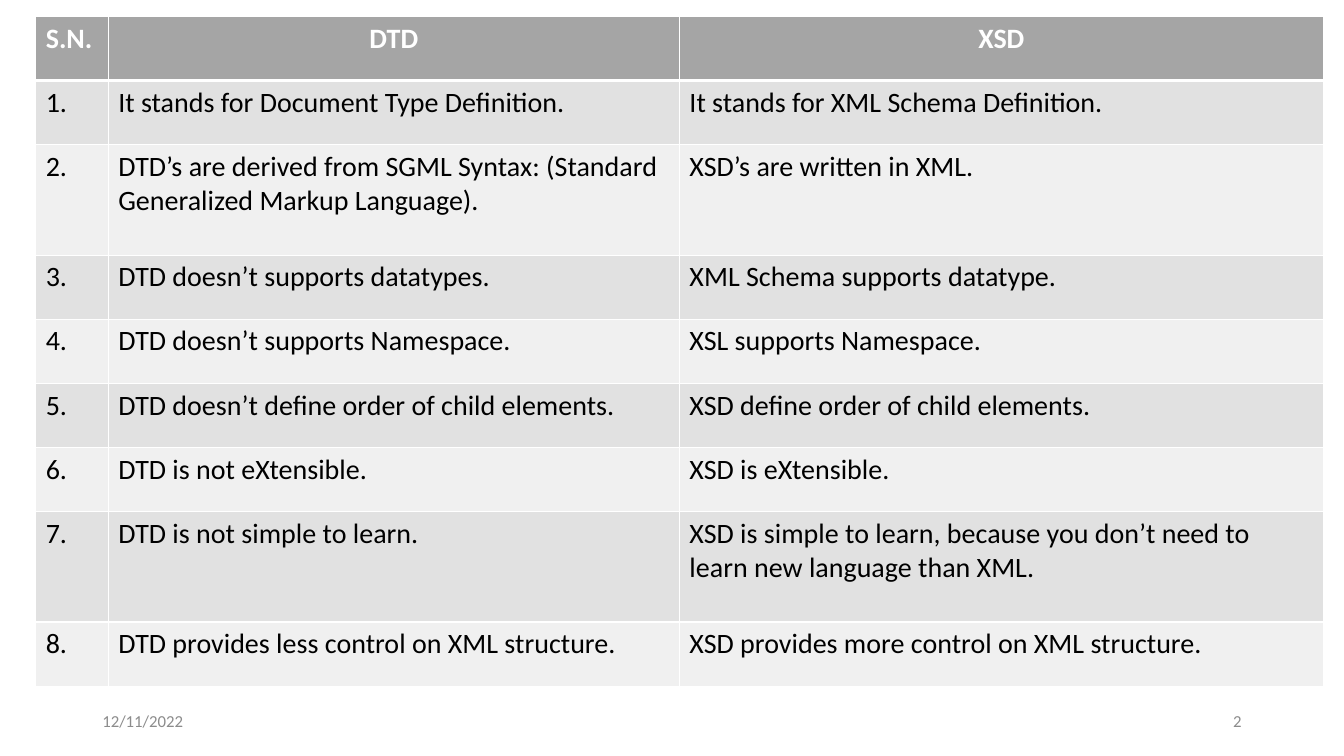
"""Build a slide with a table comparing DTD and XSD."""
from lxml import etree
from pptx import Presentation
from pptx.dml.color import RGBColor
from pptx.enum.text import MSO_ANCHOR, PP_ALIGN
from pptx.oxml.ns import qn
from pptx.util import Pt

LEFT, CENTER, RIGHT = PP_ALIGN.LEFT, PP_ALIGN.CENTER, PP_ALIGN.RIGHT
MIDDLE = MSO_ANCHOR.MIDDLE
WHITE = RGBColor(0xFF, 0xFF, 0xFF)
BLACK = RGBColor(0, 0, 0)
HEADER_GRAY = RGBColor(0xA5, 0xA5, 0xA5)
BANDS = (RGBColor(0xF0, 0xF0, 0xF0), RGBColor(0xE1, 0xE1, 0xE1))
FOOTER_GRAY = RGBColor(0x8C, 0x8C, 0x8C)
FONT = "Calibri"

HEADINGS = ("S.N.", "DTD", "XSD")
COMPARISONS = [
    ("It stands for Document Type Definition.", "It stands for XML Schema Definition."),
    ("DTD’s are derived from SGML Syntax: (Standard Generalized Markup Language).",
     "XSD’s are written in XML."),
    ("DTD doesn’t supports datatypes.", "XML Schema supports datatype."),
    ("DTD doesn’t supports Namespace.", "XSL supports Namespace."),
    ("DTD doesn’t define order of child elements.", "XSD define order of child elements."),
    ("DTD is not eXtensible.", "XSD is eXtensible."),
    ("DTD is not simple to learn.",
     "XSD is simple to learn, because you don’t need to learn new language than XML."),
    ("DTD provides less control on XML structure.",
     "XSD provides more control on XML structure."),
]
FOOTERS = [("12/11/2022", 66, LEFT), ("2", 678, RIGHT)]

TABLE_LEFT, TABLE_TOP = 25.5, 11.7
COLUMN_WIDTHS = (51.8, 408, 460)
ROW_HEIGHT, TALL_ROW_HEIGHT = 45.8, 79
TALL_ROWS = (2, 7)
FOOTER_TOP, FOOTER_WIDTH, FOOTER_HEIGHT = 500.5, 216, 28.8


def write(frame, text, size, color, align=LEFT, bold=False):
    """Put one styled paragraph into a text frame."""
    para = frame.paragraphs[0]
    para.text = text
    para.alignment = align
    para.font.name = FONT
    para.font.size = Pt(size)
    para.font.bold = bold
    para.font.color.rgb = color


def set_borders(cell, widths):
    """Draw white cell borders, given widths by side in schema order."""
    properties = cell._tc.get_or_add_tcPr()
    for index, (side, width) in enumerate(widths.items()):
        line = etree.Element(qn(f"a:ln{side}"), w=str(Pt(width)))
        fill = etree.SubElement(line, qn("a:solidFill"))
        etree.SubElement(fill, qn("a:srgbClr"), val=str(WHITE))
        properties.insert(index, line)


deck = Presentation()
deck.slide_width, deck.slide_height = Pt(960), Pt(540)
page = deck.slides.add_slide(deck.slide_layouts[6])

rows = [HEADINGS] + [(f"{number}.", *pair) for number, pair in enumerate(COMPARISONS, 1)]
heights = [TALL_ROW_HEIGHT if row in TALL_ROWS else ROW_HEIGHT for row in range(len(rows))]
table = page.shapes.add_table(
    len(rows), len(HEADINGS), Pt(TABLE_LEFT), Pt(TABLE_TOP),
    Pt(sum(COLUMN_WIDTHS)), Pt(sum(heights))).table

for column, width in zip(table.columns, COLUMN_WIDTHS):
    column.width = Pt(width)
for row, (texts, height) in enumerate(zip(rows, heights)):
    table.rows[row].height = Pt(height)
    header = row == 0
    for column, text in enumerate(texts):
        cell = table.cell(row, column)
        cell.fill.solid()
        cell.fill.fore_color.rgb = HEADER_GRAY if header else BANDS[row % 2]
        write(cell.text_frame, text, 20, WHITE if header else BLACK,
              CENTER if header and column else LEFT, header)
        set_borders(cell, {"L": 1, "R": 1, "T": 3 if row == 1 else 1, "B": 3 if header else 1})

for text, left, align in FOOTERS:
    box = page.shapes.add_textbox(
        Pt(left), Pt(FOOTER_TOP), Pt(FOOTER_WIDTH), Pt(FOOTER_HEIGHT))
    box.text_frame.word_wrap = True
    box.text_frame.vertical_anchor = MIDDLE
    write(box.text_frame, text, 12, FOOTER_GRAY, align)

deck.save("out.pptx")
